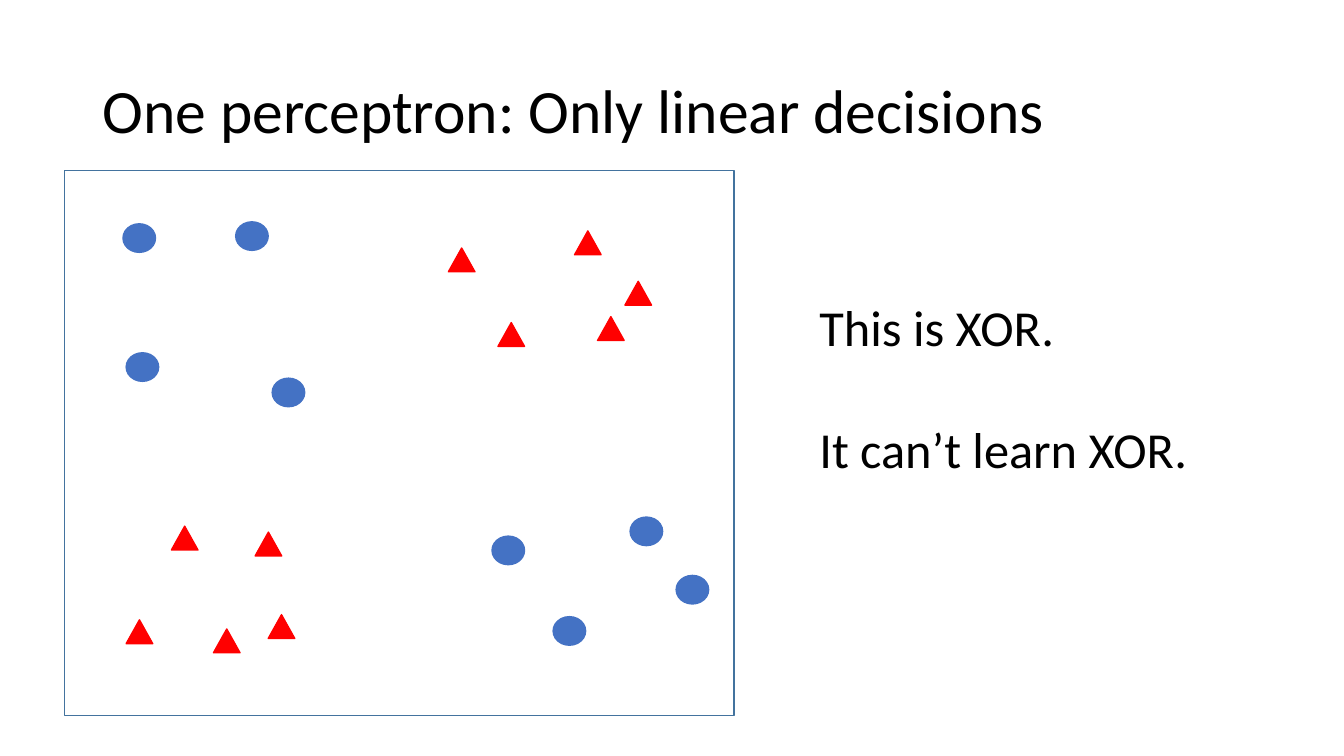
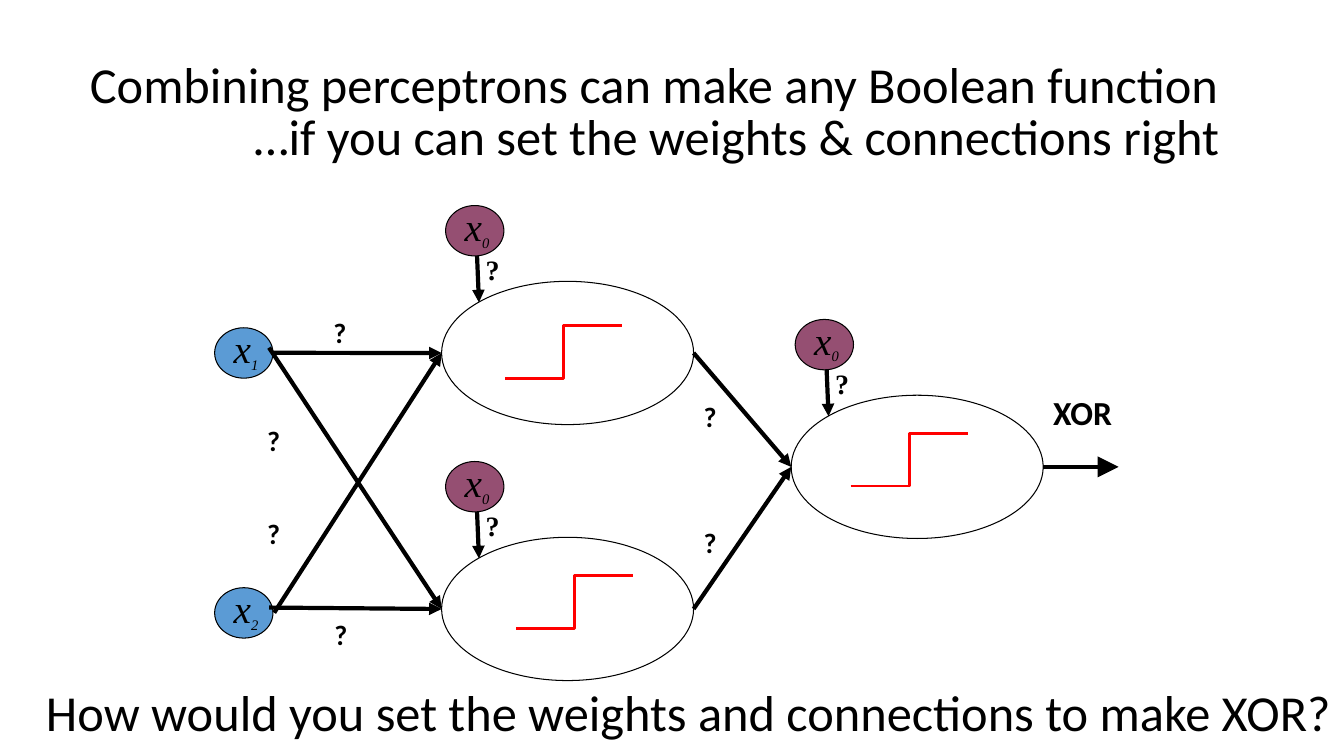
from dataclasses import dataclass

from lxml import etree
from pptx import Presentation
from pptx.dml.color import RGBColor
from pptx.enum.shapes import MSO_CONNECTOR, MSO_SHAPE
from pptx.enum.text import MSO_ANCHOR, MSO_AUTO_SIZE, PP_ALIGN
from pptx.oxml.ns import qn
from pptx.util import Cm, Pt

ELLIPSE, TRIANGLE, RECTANGLE = MSO_SHAPE.OVAL, MSO_SHAPE.ISOSCELES_TRIANGLE, MSO_SHAPE.RECTANGLE
STRAIGHT, ELBOW = MSO_CONNECTOR.STRAIGHT, MSO_CONNECTOR.ELBOW
TOP, MIDDLE = MSO_ANCHOR.TOP, MSO_ANCHOR.MIDDLE
LEFT = PP_ALIGN.LEFT
NO_AUTOFIT = MSO_AUTO_SIZE.NONE
TITLE_ONLY = 5


@dataclass(frozen=True)
class Theme:
    sans: str = "Calibri"
    serif: str = "Times New Roman"
    ink: str = "000000"
    dot: str = "4472C4"
    red: str = "FF0000"
    frame: str = "43739E"
    input: str = "5B9BD5"
    bias: str = "954F72"
    title: int = 44
    statement: int = 36
    symbol: int = 28
    output: int = 24
    weight: int = 20
    subscript: int = 18
    thin: float = 0.75
    outline: float = 1
    step: float = 2
    arrow: float = 3


THEME = Theme()

# Class samples: left, top in cm
DOTS = [(3.1, 5.64), (3.18, 8.89), (5.94, 5.59), (6.86, 9.53),
        (15.88, 13.03), (17.04, 14.5), (13.94, 15.54), (12.4, 13.51)]
TRIANGLES = [(4.32, 13.26), (6.76, 15.49), (5.38, 15.85), (3.18, 15.62), (6.43, 13.41),
             (15.06, 7.98), (14.48, 5.82), (12.55, 8.13), (11.3, 6.25), (15.75, 7.09)]

# Network: sizes and places in cm
NEURON_WIDTH, NEURON_HEIGHT = 6.35, 3.61
STEP_WIDTH, STEP_HEIGHT = 2.95, 1.32
INPUT_LEFT = 5.41
INPUT_TOPS = (8.26, 14.81)
WEIGHTS = [(8.15, 7.82), (8.18, 15.44), (6.48, 10.54), (6.48, 12.9), (17.48, 9.93), (17.48, 13.11)]


# Text
def add_run(para, text, size, font=THEME.sans, bold=False, italic=False):
    run = para.add_run()
    run.text = text
    run.font.name = font
    run.font.size = Pt(size)
    run.font.bold = bold
    run.font.italic = italic
    run.font.color.rgb = RGBColor.from_string(THEME.ink)
    return run


def add_title(slide, text, place, size):
    title = slide.shapes.title
    title.left, title.top, title.width, title.height = map(Cm, place)
    frame = title.text_frame
    frame.auto_size = NO_AUTOFIT
    frame.vertical_anchor = MIDDLE
    para = frame.paragraphs[0]
    para.alignment = LEFT
    para.line_spacing = 0.9
    add_run(para, text, size)


def add_box(slide, place, wrap=False, anchor=TOP):
    frame = slide.shapes.add_textbox(*map(Cm, place)).text_frame
    frame.word_wrap = wrap
    frame.vertical_anchor = anchor
    return frame


def add_statement(slide, text, place):
    frame = add_box(slide, place, wrap=True, anchor=MIDDLE)
    frame.margin_right = 0
    para = frame.paragraphs[0]
    para.line_spacing = 0.9
    add_run(para, text, THEME.statement)


def add_weight(slide, left, top, font=THEME.sans):
    frame = add_box(slide, (left, top, 0.85, 1.12))
    add_run(frame.paragraphs[0], "?", THEME.weight, font, bold=True)


# Shapes and lines
def add_shape(slide, kind, place, line, width, fill=None):
    shape = slide.shapes.add_shape(kind, *map(Cm, place))
    shape.shadow.inherit = False
    if fill:
        shape.fill.solid()
        shape.fill.fore_color.rgb = RGBColor.from_string(fill)
    else:
        shape.fill.background()
    shape.line.color.rgb = RGBColor.from_string(line)
    shape.line.width = Pt(width)


def add_line(slide, start, end, color, width, kind=STRAIGHT, head=None):
    line = slide.shapes.add_connector(kind, *map(Cm, (*start, *end)))
    line.line.color.rgb = RGBColor.from_string(color)
    line.line.width = Pt(width)
    if head:
        etree.SubElement(line.line._get_or_add_ln(), qn("a:tailEnd"),
                         type="triangle", w=head, len=head)
    etree.SubElement(line._element.spPr, qn("a:effectLst"))


def add_arrow(slide, start, end, head="med"):
    add_line(slide, start, end, THEME.ink, THEME.arrow, head=head)


# Network parts
def add_node(slide, left, top, index, fill):
    add_shape(slide, ELLIPSE, (left, top, 1.47, 1.27), THEME.ink, THEME.thin, fill)
    para = add_box(slide, (left + 0.23, top - 0.2, 1.17, 1.45)).paragraphs[0]
    add_run(para, "x", THEME.symbol, THEME.serif, italic=True)
    subscript = add_run(para, index, THEME.subscript, THEME.serif, italic=True)
    subscript._r.get_or_add_rPr().set("baseline", "-25000")


def add_neuron(slide, left, top, step_x, step_y):
    """Draw a neuron with its bias and return its left and right ends."""
    add_shape(slide, ELLIPSE, (left, top, NEURON_WIDTH, NEURON_HEIGHT), THEME.ink, THEME.thin)
    add_arrow(slide, (left + 0.89, top - 0.69), (left + 0.94, top + 0.53))
    add_node(slide, left + 0.1, top - 1.91, "0", THEME.bias)
    add_weight(slide, left + 0.86, top - 0.84, THEME.serif)
    step_left, step_top = left + step_x, top + step_y
    add_line(slide, (step_left, step_top + STEP_HEIGHT), (step_left + STEP_WIDTH, step_top),
             THEME.red, THEME.step, ELBOW)
    middle = top + NEURON_HEIGHT / 2
    return (left, middle), (left + NEURON_WIDTH, middle)


# Slides
def build_linear_slide(deck):
    slide = deck.slides.add_slide(deck.slide_layouts[TITLE_ONLY])
    add_title(slide, "One perceptron: Only linear decisions", (2.33, 1.02, 29.21, 3.68), THEME.title)
    add_shape(slide, RECTANGLE, (1.63, 4.29, 16.87, 13.74), THEME.frame, THEME.outline)
    samples = [(ELLIPSE, DOTS, (0.82, 0.72), THEME.dot),
               (TRIANGLE, TRIANGLES, (0.67, 0.6), THEME.red)]
    for kind, places, size, color in samples:
        for place in places:
            add_shape(slide, kind, (*place, *size), color, THEME.outline, color)

    frame = add_box(slide, (20.4, 7.34, 10.64, 4.88), wrap=True)
    add_run(frame.paragraphs[0], "This is XOR.", THEME.statement)
    para = frame.add_paragraph()
    para.space_before = Pt(44)
    add_run(para, "It can’t learn XOR.", THEME.statement)


def build_network_slide(deck):
    slide = deck.slides.add_slide(deck.slide_layouts[TITLE_ONLY])
    add_title(slide, "Combining perceptrons can make any Boolean function",
              (2.01, 0.36, 29.21, 3.68), THEME.statement)
    add_statement(slide, "…if you can set the weights & connections right", (6.15, 1.68, 27.2, 3.68))

    # Nodes
    for index, top in zip("12", INPUT_TOPS):
        add_node(slide, INPUT_LEFT, top, index, THEME.input)
    upper_in, upper_out = add_neuron(slide, 11.13, 7.09, 1.6, 1.12)
    lower_in, lower_out = add_neuron(slide, 11.13, 13.54, 1.88, 0.97)
    final_in, final_out = add_neuron(slide, 19.94, 9.96, 1.5, 0.97)

    # Connections
    for top in INPUT_TOPS:
        add_arrow(slide, (INPUT_LEFT + 1.5, top + 0.63), upper_in)
        add_arrow(slide, (INPUT_LEFT + 1.37, top + 0.5), lower_in)
    for hidden_out in (upper_out, lower_out):
        add_arrow(slide, hidden_out, final_in)
    add_arrow(slide, final_out, (28.19, final_out[1]), head="lg")

    # Labels
    for left, top in WEIGHTS:
        add_weight(slide, left, top)
    output = add_box(slide, (26.29, 9.75, 2.01, 1.27))
    add_run(output.paragraphs[0], "XOR", THEME.output, bold=True)
    add_statement(slide, "How would you set the weights and connections to make XOR?",
                  (0.91, 17, 32.94, 2.04))


def main():
    deck = Presentation()
    deck.slide_width, deck.slide_height = Cm(33.87), Cm(19.05)
    build_linear_slide(deck)
    build_network_slide(deck)
    deck.save("out.pptx")


if __name__ == "__main__":
    main()
